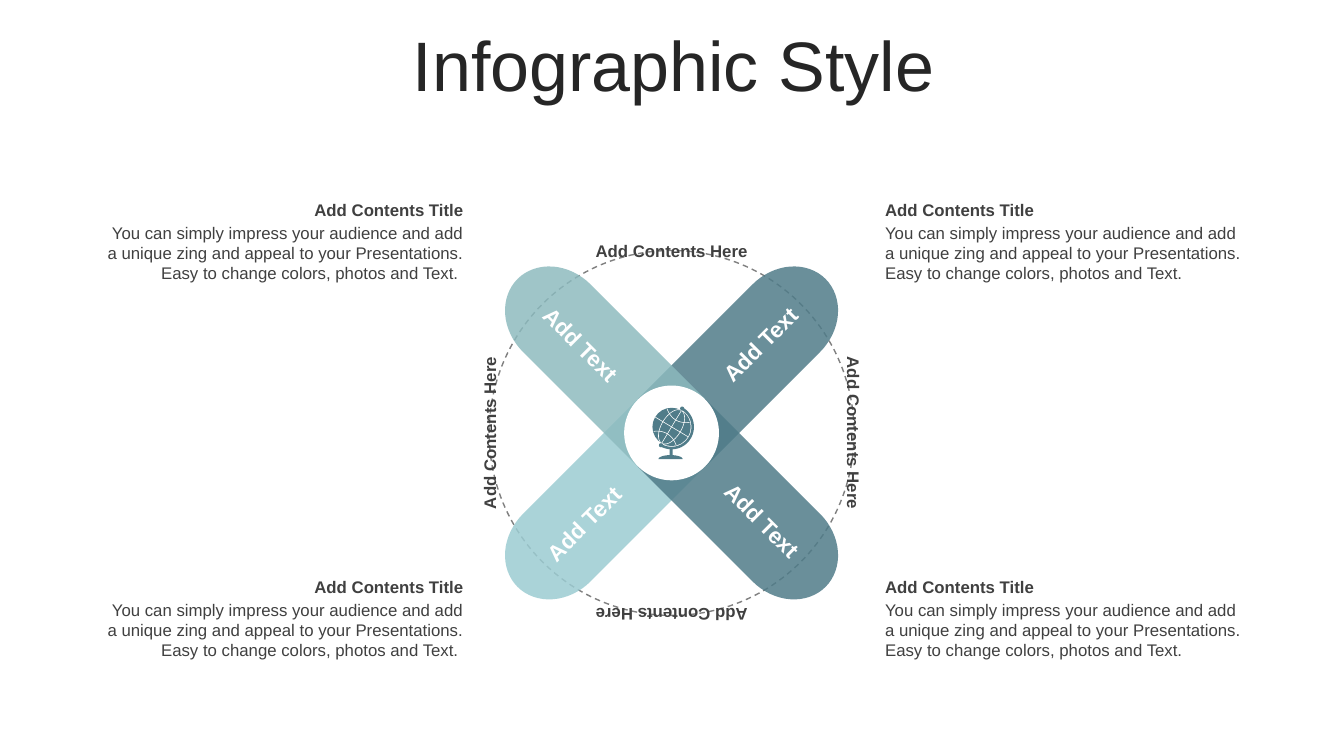
from math import cos, sin, pi, radians, sqrt
from lxml.etree import SubElement
from pptx import Presentation
from pptx.dml.color import RGBColor
from pptx.enum.dml import MSO_LINE
from pptx.enum.shapes import MSO_SHAPE
from pptx.enum.text import MSO_ANCHOR, PP_ALIGN
from pptx.oxml.ns import qn
from pptx.util import Inches, Pt

COLORS = {
    "title": "262626", "text": "404040", "white": "FFFFFF", "ring": "808080",
    "deep": "507C89", "sage": "8CBABE", "aqua": "9CCCD2",
}
BODY = ("You can simply impress your audience and add a unique zing and appeal "
        "to your Presentations. Easy to change colors, photos and Text.")

# Slide and a grid of 100 columns by 100 rows
WIDTH, HEIGHT = 13.33, 7.5
COLUMN, ROW = WIDTH / 100, HEIGHT / 100
CENTER_X, CENTER_Y = 49.97 * COLUMN, 57.27 * ROW

presentation = Presentation()
presentation.slide_width, presentation.slide_height = Inches(WIDTH), Inches(HEIGHT)
slide = presentation.slides.add_slide(presentation.slide_layouts[5])
shapes = slide.shapes


def write(text, left, top, width, height, shape=None, size=12, color="text",
          bold=False, align=PP_ALIGN.LEFT, rotation=0):
    """Write text in a new text box, or in the given shape moved to the place."""
    if shape is None:
        shape = shapes.add_textbox(0, 0, 0, 0)
    shape.left, shape.top = Inches(left), Inches(top)
    shape.width, shape.height = Inches(width), Inches(height)
    shape.rotation = rotation
    shape.text_frame.word_wrap = True
    paragraph = shape.text_frame.paragraphs[0]
    paragraph.alignment = align
    run = paragraph.add_run()
    run.text = text
    run.font.name, run.font.size, run.font.bold = "Arial", Pt(size), bold
    run.font.color.rgb = RGBColor.from_string(COLORS[color])
    return shape


def draw(geometry, fill=None, line=None, line_width=1, opacity=100):
    """Draw (preset, left, top, width, height), or an outline from a list of points."""
    if isinstance(geometry, list):
        points = [(Inches(x), Inches(y)) for x, y in geometry]
        builder = shapes.build_freeform(*points[0], scale=1.0)
        builder.add_line_segments(points[1:], close=fill is not None)
        shape = builder.convert_to_shape()
    else:
        preset, *place = geometry
        shape = shapes.add_shape(preset, *[Inches(length) for length in place])
    shape.shadow.inherit = False
    if fill:
        shape.fill.solid()
        shape.fill.fore_color.rgb = RGBColor.from_string(COLORS[fill])
        if opacity < 100:
            color = shape.fill._xPr.find(qn("a:solidFill"))[0]
            SubElement(color, qn("a:alpha")).set("val", str(opacity * 1000))
    else:
        shape.fill.background()
    if line:
        shape.line.color.rgb = RGBColor.from_string(COLORS[line])
        shape.line.width = Pt(line_width)
    else:
        shape.line.fill.background()
    return shape


# Title
title = write("Infographic Style", 0.35, 0.31, 95 * COLUMN, 0.79,
              shape=shapes.title, size=50, color="title", align=PP_ALIGN.CENTER)
title.text_frame.vertical_anchor = MSO_ANCHOR.MIDDLE
title.text_frame.paragraphs[0].line_spacing = 0.8

# Dashed ring
RING = 1.81
ring = draw((MSO_SHAPE.OVAL, CENTER_X - RING, CENTER_Y - RING, 2 * RING, 2 * RING),
            line="ring")
ring.line.dash_style = MSO_LINE.DASH

# Four arms from the centre, each a bar with an elliptic cap
ARM_LENGTH, ARM_HALF_WIDTH, CAP_LENGTH = 1.61, 0.67 / sqrt(2), 0.55
STEPS = 32
arm_outline = [(0, -ARM_HALF_WIDTH)]
for step in range(STEPS + 1):
    turn = pi * step / STEPS - pi / 2
    arm_outline.append((ARM_LENGTH + CAP_LENGTH * cos(turn), ARM_HALF_WIDTH * sin(turn)))
arm_outline.append((0, ARM_HALF_WIDTH))

for angle, color, opacity in [(-45, "deep", 85), (135, "aqua", 85),
                              (-135, "sage", 83), (45, "deep", 85)]:
    c, s = cos(radians(angle)), sin(radians(angle))
    draw([(CENTER_X + along * c - across * s, CENTER_Y + along * s + across * c)
          for along, across in arm_outline], fill=color, opacity=opacity)

# Hub
HUB = 0.47
draw((MSO_SHAPE.OVAL, CENTER_X - HUB, CENTER_Y - HUB, 2 * HUB, 2 * HUB), fill="white")

# Labels round the ring
LABEL_WIDTH, LABEL_HEIGHT, LABEL_RADIUS = 1.81, 0.63, 1.64
for angle in range(0, 360, 90):
    x = CENTER_X + LABEL_RADIUS * sin(radians(angle))
    y = CENTER_Y - LABEL_RADIUS * cos(radians(angle))
    write("Add Contents Here", x - LABEL_WIDTH / 2, y - LABEL_HEIGHT / 2,
          LABEL_WIDTH, LABEL_HEIGHT, bold=True, align=PP_ALIGN.CENTER, rotation=angle)

# Labels on the arms
for left, top, angle in [(6.77, 3.23, 315), (4.99, 3.23, 45),
                         (5.02, 5.01, 315), (6.79, 4.98, 45)]:
    write("Add Text", left, top, 1.54, 0.37, size=16, color="white", bold=True,
          align=PP_ALIGN.CENTER, rotation=angle)

# Text panels in the four corners
PANEL_WIDTH = 27.97 * COLUMN
for left, align, ending in [(65.12 * COLUMN, PP_ALIGN.LEFT, ""),
                            (7.25 * COLUMN, PP_ALIGN.RIGHT, " ")]:
    for top in (25.75 * ROW, 75.6 * ROW):
        write(BODY + ending, left, top + 0.23, PANEL_WIDTH, 0.71, align=align)
        write("Add Contents Title", left, top, PANEL_WIDTH, 0.3, bold=True, align=align)

# Globe: sphere, then white meridians and parallels tilted with its axis
GLOBE_X, GLOBE_Y, GLOBE_RADIUS = CENTER_X, CENTER_Y - 0.06, 0.19
draw((MSO_SHAPE.OVAL, GLOBE_X - GLOBE_RADIUS, GLOBE_Y - GLOBE_RADIUS,
      2 * GLOBE_RADIUS, 2 * GLOBE_RADIUS), fill="deep")
sweep = [step / 8 - 1 for step in range(17)]
grid_lines = [[(bulge * cos(t * pi / 2), GLOBE_RADIUS * sin(t * pi / 2)) for t in sweep]
              for bulge in (-0.1, 0, 0.1)]
grid_lines.append([(GLOBE_RADIUS * t, 0) for t in sweep])
for side in (-1, 1):
    grid_lines.append([(0.13 * t, side * (0.08 + 0.05 * t * t)) for t in sweep])
c, s = cos(radians(31)), sin(radians(31))
for grid_line in grid_lines:
    draw([(GLOBE_X + x * c - y * s, GLOBE_Y + x * s + y * c) for x, y in grid_line],
         line="white", line_width=0.4)

# Globe stand: arm, two knobs, post and foot
ARC_RADIUS, KNOB = 0.21, 0.02
arc = [(GLOBE_X + ARC_RADIUS * cos(radians(angle)), GLOBE_Y + ARC_RADIUS * sin(radians(angle)))
       for angle in range(-60, 125, 5)]
draw(arc, line="deep", line_width=1.8)
for x, y in (arc[0], arc[-1]):
    draw((MSO_SHAPE.OVAL, x - KNOB, y - KNOB, 2 * KNOB, 2 * KNOB), fill="deep")
draw((MSO_SHAPE.RECTANGLE, GLOBE_X - 0.02, GLOBE_Y + 0.21, 0.03, 0.09), fill="deep")
draw([(GLOBE_X - 0.01 + 0.12 * cos(pi * step / STEPS),
       GLOBE_Y + 0.32 - 0.04 * sin(pi * step / STEPS))
      for step in range(STEPS + 1)], fill="deep")

presentation.save("out.pptx")
